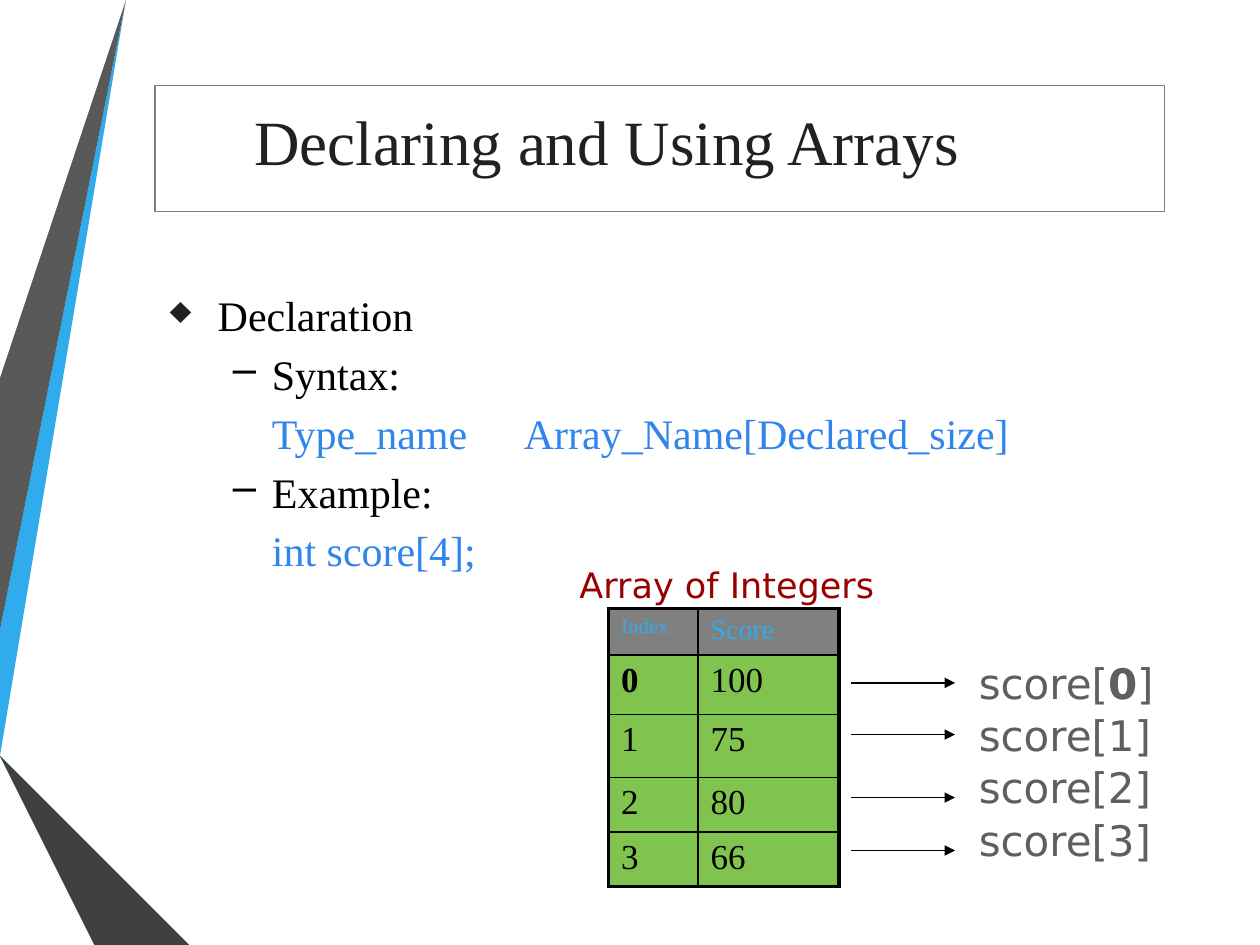
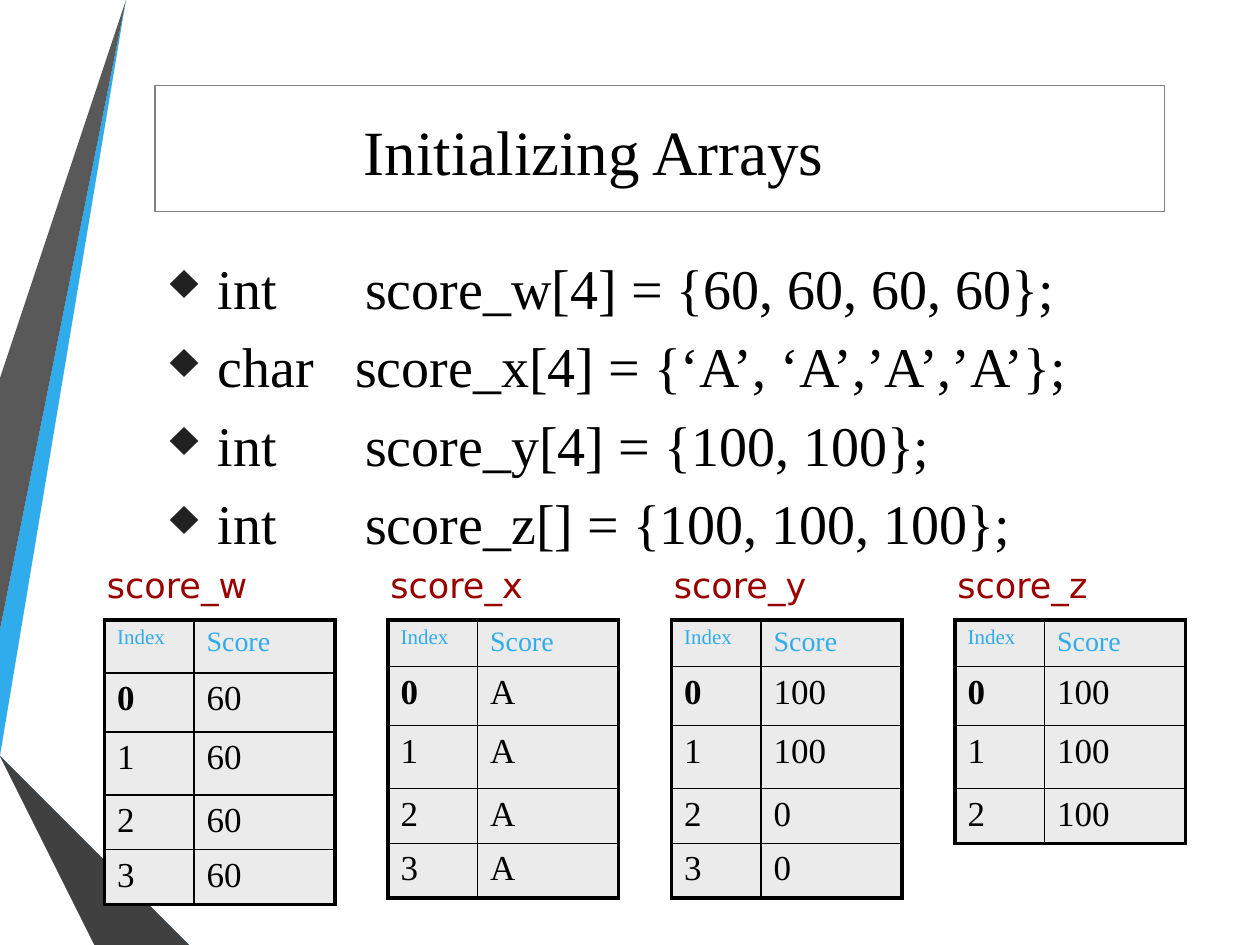
from lxml import etree
from pptx import Presentation
from pptx import util as u
from pptx.dml import color as c
from pptx.enum import shapes, text
from pptx.oxml import ns, parse_xml

SERIF, SANS = "Times New Roman", "DejaVu Sans"
BLACK, INK, SKY, CODE, GREEN = "000000", "212121", "30ACEC", "3085ED", "80C34F"
PALE, GRAY, MAROON, SLATE = "EBEBEB", "808080", "990000", "5F5F5F"
A = 'xmlns:a="http://schemas.openxmlformats.org/drawingml/2006/main"'
SHADOW = (f'<a:effectLst {A}><a:outerShdw blurRad="38100" dist="38100" dir="2700000">'
          '<a:srgbClr val="C0C0C0"/></a:outerShdw></a:effectLst>')


def rgb(value):
    return c.RGBColor.from_string(value)


def write_text(frame, paragraphs, font, frame_format=None):
    """Each paragraph is a dict: runs, and optionally indent, bullet, tab, level, before, after."""
    for name, value in (frame_format or {}).items():
        setattr(frame, name, value)
    for number, item in enumerate(paragraphs):
        paragraph = frame.add_paragraph() if number else frame.paragraphs[0]
        paragraph.level = item.get("level", 0)
        paragraph.space_after = u.Pt(item.get("after", 0))
        properties = paragraph._p.get_or_add_pPr()
        left, first = item.get("indent", (0, 0))
        properties.set("marL", str(u.Inches(left)))
        properties.set("indent", str(u.Inches(first)))
        if "before" in item:
            properties.insert(0, parse_xml(
                f'<a:spcBef {A}><a:spcPct val="{item["before"] * 1000}"/></a:spcBef>'))
        if item.get("bullet") == "♦":
            properties.append(parse_xml(f'<a:buClr {A}><a:srgbClr val="{INK}"/></a:buClr>'))
            properties.append(parse_xml(f'<a:buSzPct {A} val="90000"/>'))
        if "bullet" in item:
            properties.append(parse_xml(f'<a:buChar {A} char="{item["bullet"]}"/>'))
        else:
            etree.SubElement(properties, ns.qn("a:buNone"))
        if "tab" in item:
            properties.append(parse_xml(
                f'<a:tabLst {A}><a:tab pos="{u.Inches(item["tab"])}" algn="l"/></a:tabLst>'))
        for words, changes in item["runs"]:
            look = {**font, **changes}
            run = paragraph.add_run()
            run.text = words
            run.font.color.rgb = rgb(look["color"])
            for name in ("name", "size", "bold"):
                setattr(run.font, name, look.get(name))
            if look.get("shadow"):
                run._r.rPr.find(ns.qn("a:solidFill")).addnext(parse_xml(SHADOW))


# Shared look
ribbons = [
    ("30ACEC", [(0, 5.44), (0, 5.75), (0.22, 5.79), (1.17, 0), (0.89, 0)]),
    ("595959", [(0.83, 0), (0.55, 0), (0, 3.36), (0, 5.06)]),
    ("262626", [(0, 6.19), (0, 6.21), (0.93, 7.5), (0.99, 7.5)]),
    ("0C5A82", [(0, 5.79), (0, 5.8), (1.56, 7.5), (1.63, 7.5)]),
    ("1287C3", [(0, 5.79), (1.63, 7.5), (2.33, 7.5), (0.22, 5.79), (0, 5.75)]),
    ("404040", [(0, 6.19), (0.99, 7.5), (1.51, 7.5), (0, 5.86)]),
]
title_font = {"name": SERIF, "size": u.Pt(36), "shadow": True}
label_font = {"name": SANS, "size": u.Pt(20), "color": MAROON}
title_format = {"word_wrap": True, "vertical_anchor": text.MSO_ANCHOR.BOTTOM}
body_format = {"word_wrap": True}
label_format = {"word_wrap": False, "auto_size": text.MSO_AUTO_SIZE.SHAPE_TO_FIT_TEXT}
column_widths = [0.71, 1.12]
row_heights = [0.37, 0.47, 0.5, 0.43, 0.43]

# Body paragraphs
top_level = {"indent": (0.38, -0.38), "bullet": "♦", "before": 20}
dash_level = {"indent": (0.81, -0.31), "bullet": "–", "before": 20, "level": 1}
code_level = {"indent": (0.81, 0), "before": 20, "level": 1}
declaration = [
    {**top_level, "runs": [("Declaration", {})]},
    {**dash_level, "runs": [("Syntax:", {})]},
    {**code_level, "tab": 2.51,
     "runs": [("Type_name\tArray_Name[Declared_size]", {"color": CODE})]},
    {**dash_level, "runs": [("Example:", {})]},
    {**code_level, "runs": [("int score[4];", {"color": CODE})]},
]
initializers = [
    {**top_level, "tab": tab, "runs": [(f"{kind}\t{rest}", {})]}
    for kind, tab, rest in [
        ("int", 1.55, "score_w[4] = {60, 60, 60, 60};"),
        ("char", 1.47, "score_x[4] = {‘A’, ‘A’,’A’,’A’};"),
        ("int", 1.55, "score_y[4] = {100, 100};"),
        ("int", 1.55, "score_z[] = {100, 100, 100};"),
    ]
]

# Arrays: label, label box, table corner, header height, header fill, cell fill, values
integer_array = [("Array of Integers", (4.5, 4.42, 2.59, 0.43), (4.83, 4.83),
                  0.37, GRAY, GREEN, ["100", "75", "80", "66"])]
score_arrays = [
    (label, (0.75 + 2.25 * place, 4.42, width, 0.43), (0.83 + 2.25 * place, 4.92),
     header_height, PALE, PALE, values)
    for place, (label, width, header_height, values) in enumerate([
        ("score_w", 1.35, 0.42, ["60"] * 4),
        ("score_x", 1.28, 0.37, ["A"] * 4),
        ("score_y", 1.28, 0.37, ["100", "100", "0", "0"]),
        ("score_z", 1.26, 0.37, ["100"] * 3),
    ])
]

pages = [
    ("Declaring and Using Arrays", INK, (1.92, 0.82, 6.5, 0.64),
     declaration, 24, 2.25, integer_array),
    ("Initializing Arrays", BLACK, (2.79, 0.33, 8.75, 1.21),
     initializers, 32, 1.96, score_arrays),
]

presentation = Presentation()
presentation.slide_width, presentation.slide_height = u.Inches(10), u.Inches(7.5)

for title, title_color, title_box, body, body_size, body_top, arrays in pages:
    slide = presentation.slides.add_slide(presentation.slide_layouts[6])

    # Ribbons on the left
    for fill, points in ribbons:
        builder = slide.shapes.build_freeform(*points[0], scale=u.Inches(1))
        builder.add_line_segments(points[1:], close=True)
        shape = builder.convert_to_shape()
        shape.shadow.inherit = False
        shape.fill.solid()
        shape.fill.fore_color.rgb = rgb(fill)
        shape.line.fill.background()

    # Title in its frame
    shape = slide.shapes.add_shape(shapes.MSO_SHAPE.RECTANGLE,
                                   *map(u.Inches, (1.23, 0.68, 8.01, 1)))
    shape.shadow.inherit = False
    shape.fill.solid()
    shape.fill.fore_color.rgb = rgb("FFFFFF")
    shape.line.color.rgb = rgb(GRAY)
    shape.line.width = u.Pt(0.75)
    shape = slide.shapes.add_textbox(*map(u.Inches, title_box))
    write_text(shape.text_frame, [{"runs": [(title, {})]}],
               {**title_font, "color": title_color}, title_format)

    # Body
    shape = slide.shapes.add_textbox(*map(u.Inches, (1.25, body_top, 8.5, 4.79)))
    write_text(shape.text_frame, body,
               {"name": SERIF, "size": u.Pt(body_size), "color": BLACK}, body_format)

    # Array tables with their labels
    for label, label_box, corner, header_height, header_fill, cell_fill, values in arrays:
        rows = [("Index", "Score")] + [(str(i), value) for i, value in enumerate(values)]
        heights = [header_height] + row_heights[1:len(rows)]
        size = (sum(column_widths), sum(heights))
        table = slide.shapes.add_table(len(rows), 2, *map(u.Inches, corner + size)).table
        table.first_row = table.horz_banding = False
        for column, width in zip(table.columns, column_widths):
            column.width = u.Inches(width)
        for row, height in zip(table.rows, heights):
            row.height = u.Inches(height)
        for r, row in enumerate(rows):
            for k, words in enumerate(row):
                cell = table.cell(r, k)
                font = {"name": SERIF, "size": u.Pt(20), "color": BLACK,
                        "bold": (r, k) == (1, 0)}
                if r == 0:
                    font.update(size=u.Pt((12, 16)[k]), color=SKY)
                write_text(cell.text_frame, [{"runs": [(words, {})], "before": 20}], font)
                # Heavy outer edges, thin inner ones
                outer = {"L": k == 0, "R": k == 1, "T": r == 0, "B": r == len(rows) - 1}
                for side, heavy in outer.items():
                    cell._tc.get_or_add_tcPr().append(parse_xml(
                        f'<a:ln{side} {A} w="{u.Pt(2.25 if heavy else 1)}"><a:solidFill>'
                        f'<a:srgbClr val="{BLACK}"/></a:solidFill></a:ln{side}>'))
                cell.fill.solid()
                cell.fill.fore_color.rgb = rgb(cell_fill if r else header_fill)
        shape = slide.shapes.add_textbox(*map(u.Inches, label_box))
        write_text(shape.text_frame, [{"runs": [(label, {})]}], label_font, label_format)

# Element names beside the integer array
slide = presentation.slides[0]
shape = slide.shapes.add_textbox(*map(u.Inches, (7.67, 5.17, 1.63, 1.7)))
elements = [{"after": 1, "runs": [("score[", {}), (str(i), {"bold": i == 0}), ("]", {})]}
            for i in range(4)]
write_text(shape.text_frame, elements,
           {"name": SANS, "size": u.Pt(24), "color": SLATE}, label_format)

# Arrows from the rows to the names
for y in (5.42, 5.83, 6.33, 6.75):
    arrow = slide.shapes.add_connector(shapes.MSO_CONNECTOR.STRAIGHT,
                                       *map(u.Inches, (6.75, y, 7.58, y)))
    arrow.line.color.rgb = rgb(BLACK)
    arrow.line.width = u.Pt(0.75)
    etree.SubElement(arrow.line._get_or_add_ln(), ns.qn("a:tailEnd"), type="triangle")
    etree.SubElement(arrow._element.spPr, ns.qn("a:effectLst"))

presentation.save("out.pptx")
